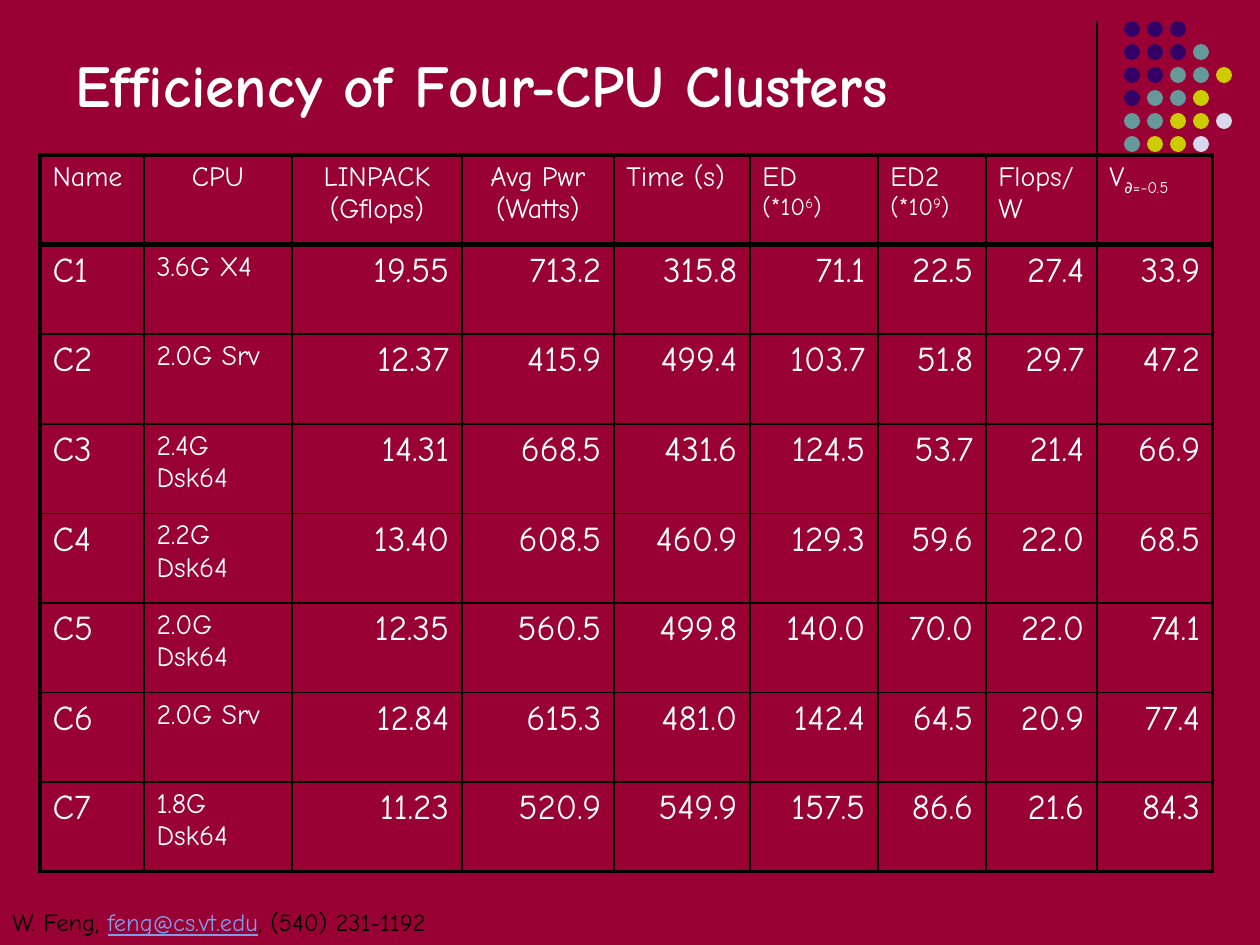
"""Builds the slide comparing the efficiency of four-CPU clusters."""
from lxml.etree import SubElement
from pptx import Presentation
from pptx.dml.color import RGBColor
from pptx.enum.shapes import MSO_CONNECTOR, MSO_SHAPE
from pptx.enum.text import MSO_ANCHOR, MSO_AUTO_SIZE, PP_ALIGN
from pptx.oxml.ns import qn
from pptx.util import Pt

PX = 914400 / 126
FONT = "Comic Neue"
COLORS = {
    "bg": "990033", "text": "FFFFFF", "ink": "000000", "link": "7E9CE8",
    "P": "330066", "T": "669999", "Y": "CCCC00", "L": "D8D8EC",
}
DOTS = ["PPP", "PPPT", "PPTTY", "PTTY", "TTYYL", "TYYL"]
COL_WIDTHS = [104, 148, 170, 152, 136, 128, 108, 111, 116]
TABLE_HEIGHT = 717
HEADERS = [
    [("Name", 16)],
    [("CPU", 16)],
    [("LINPACK (Gflops)", 16)],
    [("Avg Pwr (Watts)", 16)],
    [("Time (s)", 16)],
    [("ED ", 16), ("(*10", 14), ("6", 14, 30), (")", 14)],
    [("ED2 ", 16), ("(*10", 14), ("9", 14, 30), (")", 14)],
    [("Flops/W", 16)],
    [("V", 16), ("∂", 16, -25, True), ("=", 16, -25), ("−", 16, -25, True),
     ("0", 16, -25), (".", 16, -25, True), ("5", 16, -25)],
]
CLUSTERS = [
    ["C1", "3.6G X4", "19.55", "713.2", "315.8", "71.1", "22.5", "27.4", "33.9"],
    ["C2", "2.0G Srv", "12.37", "415.9", "499.4", "103.7", "51.8", "29.7", "47.2"],
    ["C3", "2.4G Dsk64", "14.31", "668.5", "431.6", "124.5", "53.7", "21.4", "66.9"],
    ["C4", "2.2G Dsk64", "13.40", "608.5", "460.9", "129.3", "59.6", "22.0", "68.5"],
    ["C5", "2.0G Dsk64", "12.35", "560.5", "499.8", "140.0", "70.0", "22.0", "74.1"],
    ["C6", "2.0G Srv", "12.84", "615.3", "481.0", "142.4", "64.5", "20.9", "77.4"],
    ["C7", "1.8G Dsk64", "11.23", "520.9", "549.9", "157.5", "86.6", "21.6", "84.3"],
]


def px(*values):
    return [round(v * PX) for v in values]


def add_run(p, text, size, base=0, italic=False, color="text"):
    r = p.add_run()
    r.text = text
    r.font.name = FONT
    r.font.size = Pt(size)
    r.font.italic = italic
    r.font.color.rgb = RGBColor.from_string(COLORS[color])
    if base:
        r.font._element.set("baseline", str(base * 1000))
    return r


prs = Presentation()
prs.slide_width, prs.slide_height = px(1260, 945)
s = prs.slides.add_slide(prs.slide_layouts[5])
s.background.fill.solid()
s.background.fill.fore_color.rgb = RGBColor.from_string(COLORS["bg"])

rule = s.shapes.add_connector(MSO_CONNECTOR.STRAIGHT, *px(1097, 21, 1097, 231))
rule.line.color.rgb = RGBColor.from_string(COLORS["ink"])
rule.line.width = Pt(0.75)
SubElement(rule._element.spPr, qn("a:effectLst"))

for i, row in enumerate(DOTS):
    for j, key in enumerate(row):
        sp = s.shapes.add_shape(MSO_SHAPE.OVAL, *px(1124 + 23 * j, 21 + 23 * i, 16, 16))
        sp.shadow.inherit = False
        sp.fill.solid()
        sp.fill.fore_color.rgb = RGBColor.from_string(COLORS[key])
        sp.line.fill.background()

footer = s.shapes.add_textbox(*px(0, 901, 494, 42))
tf = footer.text_frame
tf.word_wrap = False
tf.auto_size = MSO_AUTO_SIZE.SHAPE_TO_FIT_TEXT
p = tf.paragraphs[0]
add_run(p, "W. Feng, ", 14, color="ink")
add_run(p, "feng@cs.vt.edu", 14, color="link").font.underline = True
add_run(p, ", (540) 231-1192", 14, color="ink")

title = s.shapes.title
title.left, title.top, title.width, title.height = px(63, 16, 1040, 110)
tf = title.text_frame
tf.auto_size = MSO_AUTO_SIZE.NONE
tf.vertical_anchor = MSO_ANCHOR.BOTTOM
p = tf.paragraphs[0]
p.alignment = PP_ALIGN.LEFT
add_run(p, "Efficiency of Four-CPU Clusters", 34).font.bold = True

rows = [HEADERS]
for cluster in CLUSTERS:
    rows.append([[(text, 16 if j == 1 else 20)] for j, text in enumerate(cluster)])
n_rows, n_cols = len(rows), len(COL_WIDTHS)
frame = s.shapes.add_table(n_rows, n_cols, *px(40, 155, sum(COL_WIDTHS), TABLE_HEIGHT))
table = frame.table
table.first_row = table.horz_banding = False
for col, width in zip(table.columns, px(*COL_WIDTHS)):
    col.width = width
for row in table.rows:
    row.height = px(TABLE_HEIGHT / n_rows)[0]

col_edges = [2.25] + [1] * (n_cols - 1) + [2.25]
row_edges = [2.25, 3] + [1] * (n_rows - 2) + [2.25]
for i, row in enumerate(rows):
    for j, runs in enumerate(row):
        cell = table.cell(i, j)
        tcPr = cell._tc.get_or_add_tcPr()
        edges = {"lnL": col_edges[j], "lnR": col_edges[j + 1],
                 "lnT": row_edges[i], "lnB": row_edges[i + 1]}
        for tag, width in edges.items():
            ln = SubElement(tcPr, qn(f"a:{tag}"), w=str(Pt(width)))
            fill = SubElement(ln, qn("a:solidFill"))
            SubElement(fill, qn("a:srgbClr"), val=COLORS["ink"])
        if i == 0 and j >= 7:
            cell.fill.solid()
            cell.fill.fore_color.rgb = RGBColor.from_string(COLORS["bg"])
        else:
            cell.fill.background()
        p = cell.text_frame.paragraphs[0]
        if i == 0 and j in (1, 2, 3):
            p.alignment = PP_ALIGN.CENTER
        elif i > 0 and j > 1:
            p.alignment = PP_ALIGN.RIGHT
        else:
            p.alignment = PP_ALIGN.LEFT
        for run in runs:
            add_run(p, *run)

prs.save("out.pptx")
